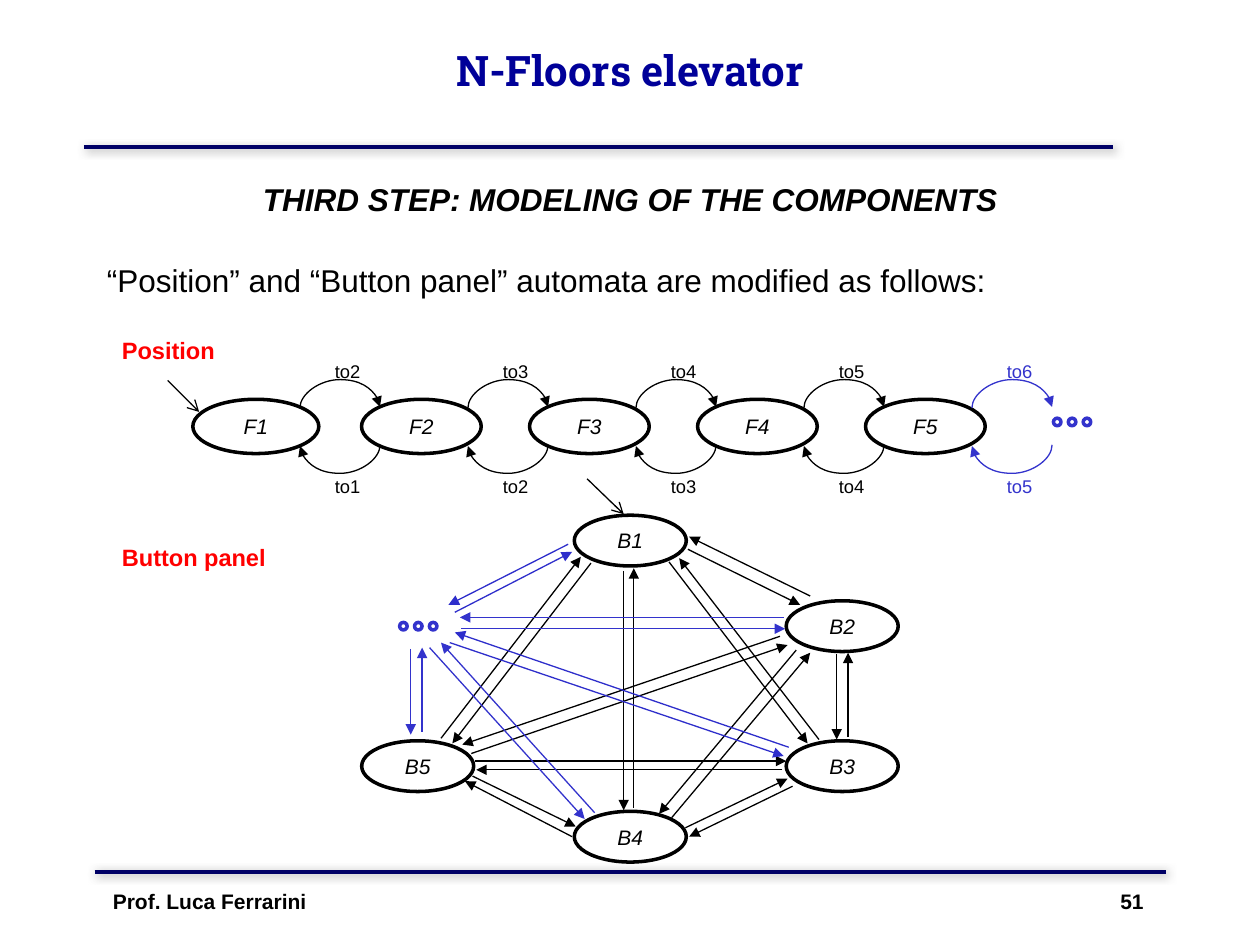
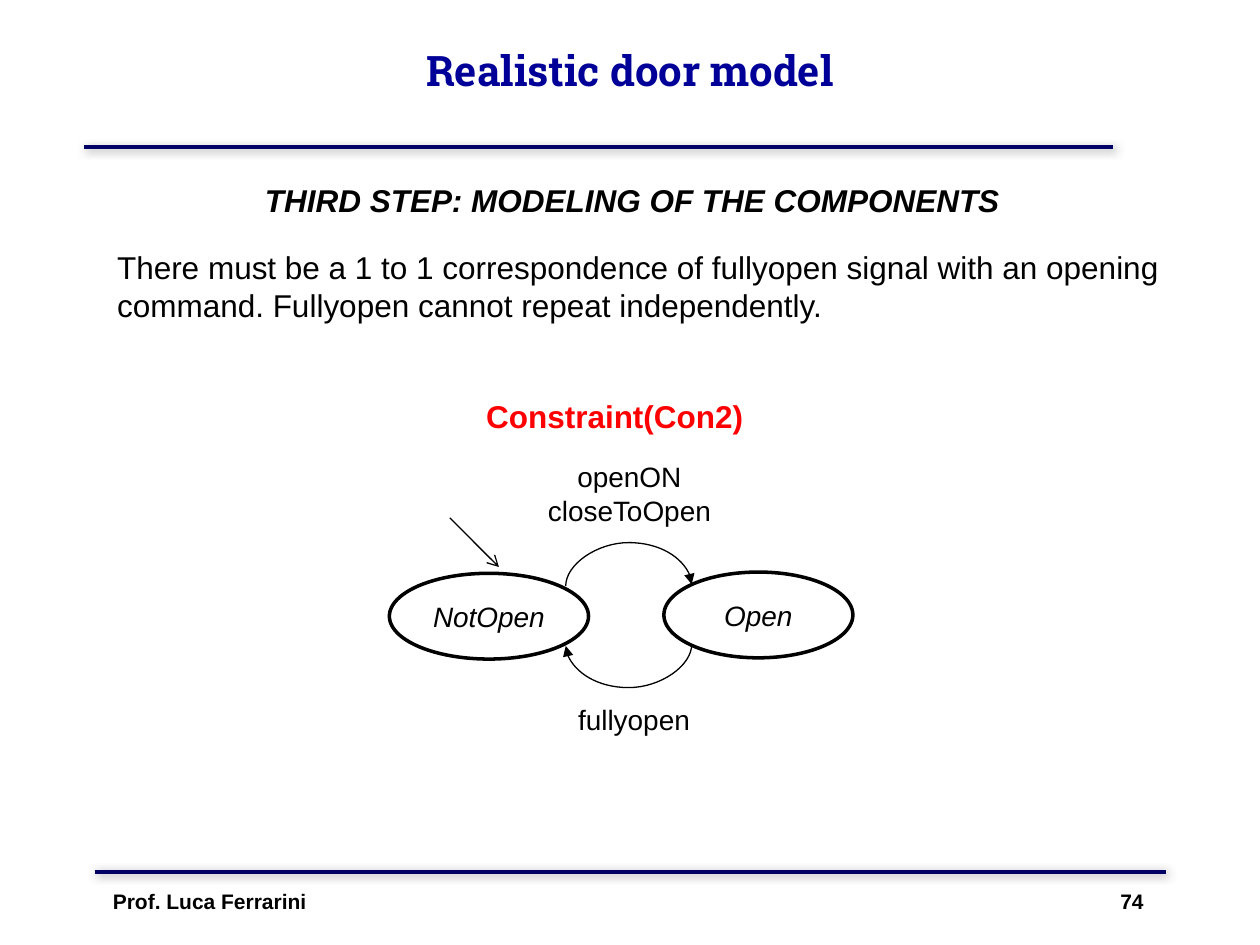
import pptx
import pptx.dml.color
import pptx.enum.shapes
import pptx.enum.text
import pptx.oxml
import pptx.oxml.ns
import pptx.util

Pt = pptx.util.Pt
qn = pptx.oxml.ns.qn
ALIGN = pptx.enum.text.PP_ALIGN
ANCHOR = pptx.enum.text.MSO_ANCHOR
SHAPE = pptx.enum.shapes.MSO_SHAPE
CONNECTOR = pptx.enum.shapes.MSO_CONNECTOR

BLACK, WHITE, RED = "000000", "FFFFFF", "FF0000"
NAVY, TITLE_BLUE, BLUE, DEEP_BLUE = "000066", "000099", "3333CC", "2E2ECB"

STEP = "THIRD STEP: MODELING OF THE COMPONENTS"
STEP_FORMAT = {"size": 18, "bold": True, "italic": True}


def color(hex_text):
    return pptx.dml.color.RGBColor.from_string(hex_text)


def add_xml(parent, tag, **attributes):
    child = parent.makeelement(qn(tag), attributes)
    parent.append(child)
    return child


class Lecture:
    """Holds the shared style and the current slide."""

    def __init__(self):
        self.deck = pptx.Presentation()
        self.deck.slide_width, self.deck.slide_height = Pt(720), Pt(540)
        self.page = None

    def start_page(self, title, number):
        self.page = self.deck.slides.add_slide(self.deck.slide_layouts[5])
        self.rule(48, 84.2, 636)
        self.rule(54, 498.2, 666)
        self.title(title)
        self.footer(number)

    # Text
    def fill_text(self, frame, text, align=ALIGN.LEFT, hue=BLACK, **format_values):
        values = {"name": "Arial", "size": 12, "bold": False, "italic": False, **format_values}
        values["size"] = Pt(values["size"])
        for index, line in enumerate(text.split("\n")):
            para = frame.paragraphs[0] if index == 0 else frame.add_paragraph()
            para.alignment = align
            span = para.add_run()
            span.text = line
            for name, value in values.items():
                setattr(span.font, name, value)
            span.font.color.rgb = color(hue)

    def text(self, left, top, width, height, text, **style):
        box = self.page.shapes.add_textbox(Pt(left), Pt(top), Pt(width), Pt(height))
        box.text_frame.word_wrap = True
        self.fill_text(box.text_frame, text, **style)
        return box

    def title(self, text):
        box = self.page.shapes.title
        place = {"left": 66, "top": -5, "width": 588, "height": 90}
        for name, value in place.items():
            setattr(box, name, Pt(value))
        box.text_frame.vertical_anchor = ANCHOR.MIDDLE
        self.fill_text(box.text_frame, text, align=ALIGN.CENTER, hue=TITLE_BLUE,
                       name="Roboto Slab", size=24, bold=True)

    def footer(self, number):
        box = self.text(57.4, 504, 605, 36, f"Prof. Luca Ferrarini\t{number}", bold=True)
        properties = box.text_frame.paragraphs[0]._p.get_or_add_pPr()
        tabs = add_xml(properties, "a:tabLst")
        add_xml(tabs, "a:tab", pos=str(Pt(589)), algn="r")

    # Lines
    def connector(self, kind, start, end, hue, width, head=None):
        line = self.page.shapes.add_connector(kind, *(Pt(value) for value in (*start, *end)))
        line.line.color.rgb = color(hue)
        line.line.width = Pt(width)
        properties = line.element.spPr
        if head:
            add_xml(properties.find(qn("a:ln")), "a:tailEnd", type=head)
        add_xml(properties, "a:effectLst")
        return line

    def rule(self, left, top, right):
        line = self.connector(CONNECTOR.STRAIGHT, (left, top), (right, top), NAVY, 2.25)
        effects = line.element.spPr.find(qn("a:effectLst"))
        shadow = add_xml(effects, "a:outerShdw", blurRad=str(Pt(5)), dist=str(Pt(1.4)),
                         dir="2700000", algn="ctr", rotWithShape="0")
        shade = add_xml(shadow, "a:srgbClr", val="808080")
        add_xml(shade, "a:alpha", val="75000")

    def arrow(self, start, end, hue=BLACK, head="triangle"):
        self.connector(CONNECTOR.STRAIGHT, start, end, hue, 0.75, head)

    def arc(self, left, right, middle, depth, above, hue=BLACK):
        """Curve over (left to right) or under (right to left) the gap."""
        line = self.connector(CONNECTOR.CURVE, (left, middle), (right, middle),
                              hue, 0.75, "triangle")
        # A thin frame turned by 90 degrees; the bulge is 25 times its width
        thin, span = depth / 25, right - left
        place = {"left": (left + right - thin) / 2, "top": middle - span / 2,
                 "width": thin, "height": span}
        for name, value in place.items():
            setattr(line, name, Pt(value))
        frame = line.element.spPr.find(qn("a:xfrm"))
        frame.set("rot", "5400000")
        if above:
            frame.set("flipH", "1")
            frame.set("flipV", "1")
        geometry = line.element.spPr.find(qn("a:prstGeom"))
        guides = geometry.find(qn("a:avLst"))
        if guides is None:
            guides = add_xml(geometry, "a:avLst")
        add_xml(guides, "a:gd", name="adj1", fmla="val 2500000")

    # Automaton states
    def state(self, left, top, width, height, text="", size=12, hue=BLACK):
        oval = self.page.shapes.add_shape(SHAPE.OVAL, Pt(left), Pt(top), Pt(width), Pt(height))
        oval.shadow.inherit = False
        oval.fill.solid()
        oval.fill.fore_color.rgb = color(WHITE)
        oval.line.color.rgb = color(hue)
        oval.line.width = Pt(2)
        if text:
            frame = oval.text_frame
            frame.word_wrap = False
            frame.vertical_anchor = ANCHOR.MIDDLE
            self.fill_text(frame, text, align=ALIGN.CENTER, size=size, italic=True)

    def dots(self, left, top):
        for index in range(3):
            self.state(left + 8.5 * index, top, 4.3, 4.3, hue=BLUE)


# Button panel: oval centres, and the arrows as x1, y1, x2, y2
BUTTONS = {"B1": (360.2, 308.9), "B2": (481.3, 357.8), "B3": (481.3, 437.8),
           "B4": (360.2, 478.1), "B5": (238.7, 437.8)}
BUTTON_ARROWS = {
    BLACK: [
        (252, 421.9, 331.9, 318.2), (337.7, 321.8, 258.5, 424.8),
        (468, 422.6, 388.1, 319), (382.3, 321.1, 461.5, 424.8),
        (356.4, 326.2, 356.4, 463), (362.2, 461.5, 362.2, 324.7),
        (393.1, 313.9, 457.2, 345.6), (463, 340.6, 393.8, 306.7),
        (270, 443.5, 329, 472.3), (326.9, 478.1, 265.7, 446.4),
        (452.9, 449.3, 393.8, 478.1), (391.7, 473, 450, 445),
        (445.7, 363.6, 264.2, 425.5), (269.3, 430.6, 450, 368.6),
        (271.4, 434.9, 449.3, 434.9), (447.1, 439.9, 272.2, 439.9),
        (478.1, 373.7, 478.1, 422.6), (484.6, 421.2, 484.6, 373),
        (383.8, 467.3, 463, 373), (455, 371.5, 376.6, 465.1),
    ],
    BLUE: [
        (234.7, 370.8, 234.7, 419.8), (241.2, 418.3, 241.2, 370.1),
        (245.5, 370.1, 334.1, 468), (339.8, 464.4, 252, 367.2),
        (263.5, 359.3, 448.6, 359.3), (447.8, 352.8, 262.8, 352.8),
    ],
    DEEP_BLUE: [
        (450.7, 427, 259.9, 361.4), (257, 367.2, 447.8, 432),
        (259.9, 349.9, 326.9, 315.4), (324.7, 311, 256.3, 345.6),
    ],
}


def build_elevator(lecture):
    lecture.start_page("N-Floors elevator", 51)
    lecture.text(62.6, 99.4, 595.4, 28.8, STEP, align=ALIGN.CENTER, **STEP_FORMAT)
    lecture.text(54, 145.4, 595.4, 28.8,
                 "“Position” and “Button panel” automata are modified as follows:", size=18)
    for top, heading in ((188.6, "Position"), (306.7, "Button panel")):
        lecture.text(62.6, top, 300, 23.8, heading, hue=RED, size=13.5, bold=True)

    # Position automaton: five floors, then dots
    pitch = 96
    lecture.state(110.2, 228.2, 72, 31, "F1")
    for index in range(4):
        lecture.state(206.6 + pitch * index, 228.2, 68.4, 31, f"F{index + 2}")
    for index in range(5):
        hue = BLUE if index == 4 else BLACK
        shift = pitch * index
        for middle, above in ((232.9, True), (254.5, False)):
            lecture.arc(171.4 + shift, 217.2 + shift, middle, 16, above, hue)
        for top, floor in ((202.3, index + 2), (267.8, index + 1)):
            lecture.text(184.3 + shift, top, 46, 16.6, f"to{floor}", hue=hue, size=10.5)
    lecture.dots(602, 239)
    lecture.arrow((95.8, 217.4), (113.8, 235.4), head="arrow")

    # Button panel automaton
    for name, (x, y) in BUTTONS.items():
        lecture.state(x - 32, y - 14.5, 64, 29, name)
    for hue, arrows in BUTTON_ARROWS.items():
        for x1, y1, x2, y2 in arrows:
            lecture.arrow((x1, y1), (x2, y2), hue)
    lecture.dots(228.4, 355.7)
    lecture.arrow((335.5, 273.6), (356.4, 293.8), head="arrow")


def build_door(lecture):
    lecture.start_page("Realistic door model", 74)
    lecture.text(50.4, 100.1, 622, 28.8, STEP, align=ALIGN.CENTER, **STEP_FORMAT)
    lecture.text(59.8, 138.2, 613.4, 51.1,
                 "There must be a 1 to 1 correspondence of fullyopen signal with an opening "
                 "command. Fullyopen cannot repeat independently.", size=18)
    lecture.text(270.7, 223.2, 193.7, 28.8, "Constraint(Con2)", hue=RED, size=18, bold=True)

    # Door automaton
    lecture.state(222.5, 327.6, 113.8, 49, "NotOpen", size=16)
    lecture.state(379.4, 326.9, 108, 49, "Open", size=16)
    lecture.arrow((257, 295.9), (285.1, 324), head="arrow")
    for middle, above in ((334.4, True), (368.6, False)):
        lecture.arc(323.3, 395.3, middle, 25, above)
    lecture.text(302.4, 259.2, 114.5, 46, "openON\ncloseToOpen", align=ALIGN.CENTER, size=16)
    lecture.text(323.3, 398.2, 83.5, 26.6, "fullyopen", size=16)


def main():
    lecture = Lecture()
    build_elevator(lecture)
    build_door(lecture)
    lecture.deck.save("out.pptx")


if __name__ == "__main__":
    main()
